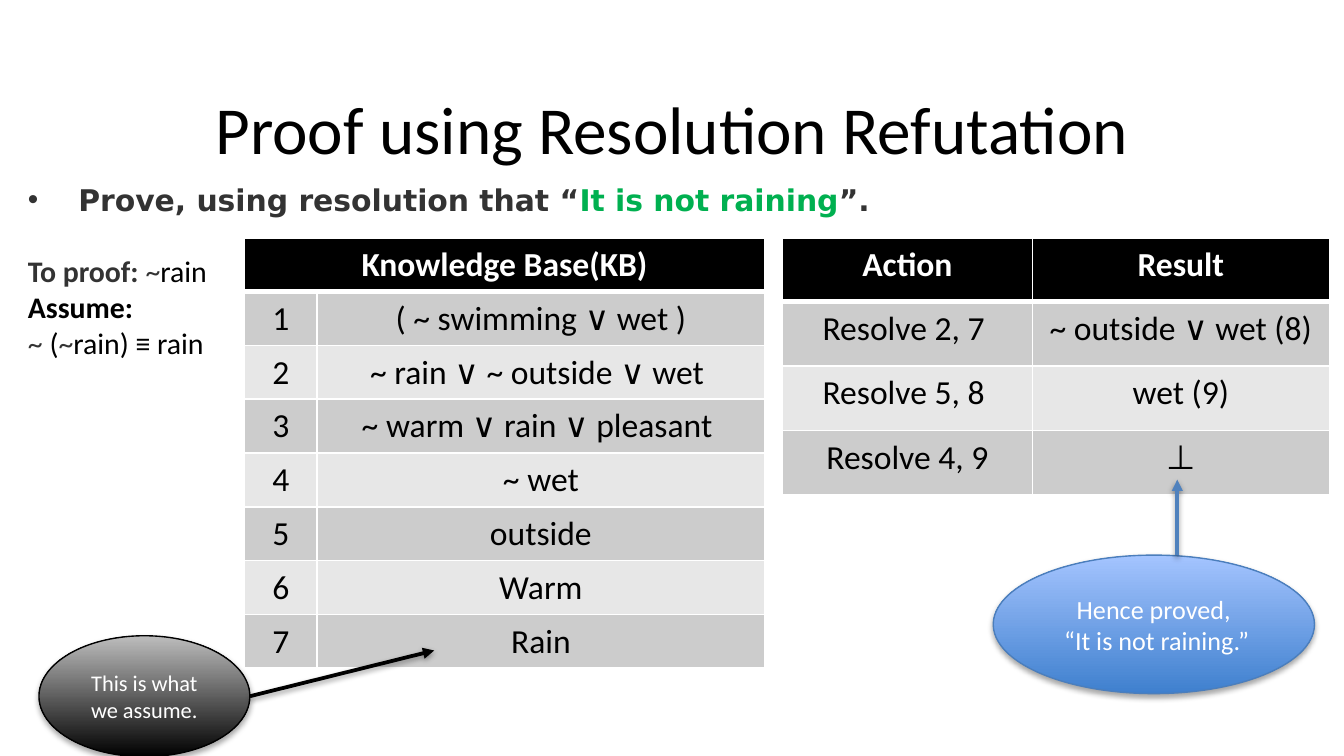
"""Builds the slide 'Proof using Resolution Refutation'."""
from lxml.etree import SubElement
from pptx import Presentation
from pptx.dml.color import RGBColor
from pptx.enum.shapes import MSO_CONNECTOR, MSO_SHAPE
from pptx.enum.text import MSO_ANCHOR as Anchor, PP_ALIGN as Align
from pptx.oxml import parse_xml
from pptx.oxml.ns import nsdecls, qn
from pptx.util import Pt

BLACK = RGBColor(0x00, 0x00, 0x00)
WHITE = RGBColor(0xFF, 0xFF, 0xFF)
CHARCOAL = RGBColor(0x33, 0x33, 0x33)
GREEN = RGBColor(0x00, 0xB0, 0x50)
DARK_BAND = RGBColor(0xCC, 0xCC, 0xCC)
LIGHT_BAND = RGBColor(0xE7, 0xE7, 0xE7)
SILVER = RGBColor(0xBD, 0xBD, 0xBD)
BLUE = RGBColor(0x3F, 0x80, 0xCE)
PALE_BLUE = RGBColor(0xA4, 0xC4, 0xFF)
EDGE_BLUE = RGBColor(0x4B, 0x7E, 0xBC)
ARROW_BLUE = RGBColor(0x4F, 0x81, 0xBD)

PLAIN = {"name": "Calibri", "size": Pt(16), "bold": False}
BOLD = {**PLAIN, "bold": True}
TASK = {"name": "DejaVu Sans", "size": Pt(16), "bold": True}
CELL = {"name": "Calibri", "size": Pt(18), "bold": False}
HEADING = {**CELL, "bold": True}

TITLE = [[("Proof using Resolution Refutation", {**PLAIN, "size": Pt(36)}, BLACK)]]
PROVE = [[
    ("Prove, using resolution that “", TASK, CHARCOAL),
    ("It is not raining", TASK, GREEN),
    ("”.", TASK, CHARCOAL),
]]
ASSUMPTION = [
    [("To proof: ", BOLD, CHARCOAL), ("~", PLAIN, CHARCOAL), ("rain", PLAIN, BLACK)],
    [("Assume:", BOLD, BLACK)],
    [("~ ", PLAIN, CHARCOAL), ("(", PLAIN, BLACK), ("~", PLAIN, CHARCOAL),
     ("rain) ≡ rain", PLAIN, BLACK)],
]
CLAUSES = [
    "( ~ swimming ∨ wet )", "~ rain ∨ ~ outside ∨ wet ", "~ warm ∨ rain ∨ pleasant ",
    "~ wet", "outside", "Warm", "Rain",
]
KNOWLEDGE = [("Knowledge Base(KB)", "")] + [
    (str(number), clause) for number, clause in enumerate(CLAUSES, 1)
]
RESOLUTION = [
    ("Action", "Result"),
    ("Resolve 2, 7 ", "~ outside ∨ wet (8)"),
    ("Resolve 5, 8 ", "wet (9)"),
    ("Resolve 4, 9", "⊥"),
]
TABLES = [
    (KNOWLEDGE, 131, (38.9, 239.8), 25.2),
    (RESOLUTION, 419.2, (133.9, 159.1), 34.4),
]
TABLE_TOP = 127.4
CALLOUTS = [
    (["Hence proved,", " “It is not raining.”"], 14, (532.1, 297.4, 172.1, 74.2),
     (BLUE, PALE_BLUE), EDGE_BLUE),
    (["This is what we assume."], 12, (20.9, 340.6, 113, 64.8), (BLACK, SILVER), BLACK),
]
ARROWS = [
    ((133.9, 373), (232.6, 348.5), BLACK),
    ((630.7, 297.4), (630.7, 257), ARROW_BLUE),
]


def apply(target, values):
    for key, value in values.items():
        setattr(target, key, value)


def write(frame, paragraphs, align):
    for index, runs in enumerate(paragraphs):
        paragraph = frame.add_paragraph() if index else frame.paragraphs[0]
        paragraph.alignment = align
        for words, font, color in runs:
            run = paragraph.add_run()
            run.text = words
            apply(run.font, font)
            run.font.color.rgb = color
    return frame.paragraphs[0]


def add_text(slide, box, paragraphs, align=Align.LEFT, anchor=Anchor.TOP):
    frame = slide.shapes.add_textbox(*map(Pt, box)).text_frame
    apply(frame, {"word_wrap": True, "vertical_anchor": anchor})
    return write(frame, paragraphs, align)


def add_bullet(paragraph, indent):
    paragraph.space_before = Pt(3.2)
    properties = paragraph._p.get_or_add_pPr()
    properties.set("marL", str(Pt(indent)))
    properties.set("indent", str(-Pt(indent)))
    SubElement(properties, qn("a:buFont")).set("typeface", "Arial")
    SubElement(properties, qn("a:buChar")).set("char", "•")


def add_shadow(shape, alpha, distance):
    properties = shape._element.spPr
    for empty in properties.findall(qn("a:effectLst")):
        properties.remove(empty)
    properties.append(parse_xml(
        f'<a:effectLst {nsdecls("a")}><a:outerShdw blurRad="{Pt(3.1)}" '
        f'dist="{Pt(distance)}" dir="5400000" rotWithShape="0"><a:srgbClr val="{BLACK}">'
        f'<a:alpha val="{alpha * 1000}"/></a:srgbClr></a:outerShdw></a:effectLst>'))


def add_borders(cell, widths):
    properties = cell._tc.get_or_add_tcPr()
    for index, (side, width) in enumerate(widths.items()):
        properties.insert(index, parse_xml(
            f'<a:ln{side} {nsdecls("a")} w="{Pt(width)}"><a:solidFill>'
            f'<a:srgbClr val="{WHITE}"/></a:solidFill></a:ln{side}>'))


def add_grid(slide, rows, left, widths, row_height):
    table = slide.shapes.add_table(
        len(rows), len(widths), Pt(left), Pt(TABLE_TOP),
        Pt(sum(widths)), Pt(row_height * len(rows))).table
    for column, width in zip(table.columns, widths):
        column.width = Pt(width)
    for r, row in enumerate(rows):
        table.rows[r].height = Pt(row_height)
        band = BLACK if r == 0 else DARK_BAND if r % 2 else LIGHT_BAND
        font, color = (CELL, BLACK) if r else (HEADING, WHITE)
        for c, words in enumerate(row):
            cell = table.cell(r, c)
            cell.fill.solid()
            cell.fill.fore_color.rgb = band
            add_borders(cell, {"L": 1, "R": 1, "T": 3 if r == 1 else 1, "B": 1 if r else 3})
            if words:
                write(cell.text_frame, [[(words, font, color)]], Align.CENTER)
    if not rows[0][1]:
        table.cell(0, 0).merge(table.cell(0, 1))


def add_callout(slide, lines, size, box, gradient, edge):
    ellipse = slide.shapes.add_shape(MSO_SHAPE.OVAL, *map(Pt, box))
    ellipse.shadow.inherit = False
    ellipse.fill.gradient()
    ellipse.fill.gradient_angle = 90
    for stop, color in zip(ellipse.fill.gradient_stops, gradient):
        stop.color.rgb = color
    ellipse.line.color.rgb = edge
    ellipse.line.width = Pt(0.75)
    add_shadow(ellipse, 35, 1.8)
    apply(ellipse.text_frame, {"word_wrap": True, "vertical_anchor": Anchor.MIDDLE})
    font = {**PLAIN, "size": Pt(size)}
    write(ellipse.text_frame, [[(line, font, WHITE)] for line in lines], Align.CENTER)


def add_arrow(slide, start, end, color):
    arrow = slide.shapes.add_connector(MSO_CONNECTOR.STRAIGHT, *map(Pt, start + end))
    arrow.line.color.rgb = color
    arrow.line.width = Pt(2)
    SubElement(arrow.line._get_or_add_ln(), qn("a:tailEnd")).set("type", "triangle")
    add_shadow(arrow, 38, 1.6)


def main():
    deck = Presentation()
    apply(deck, {"slide_width": Pt(720), "slide_height": Pt(405)})
    slide = deck.slides.add_slide(deck.slide_layouts[6])
    add_text(slide, (36, 43.2, 648, 50.4), TITLE, Align.CENTER, Anchor.MIDDLE)
    for grid in TABLES:
        add_grid(slide, *grid)
    for callout in CALLOUTS:
        add_callout(slide, *callout)
    for arrow in ARROWS:
        add_arrow(slide, *arrow)
    add_bullet(add_text(slide, (7.9, 93.6, 601.9, 60.5), PROVE), 27)
    add_text(slide, (7.9, 131.8, 113, 65.5), ASSUMPTION)
    deck.save("out.pptx")


if __name__ == "__main__":
    main()
